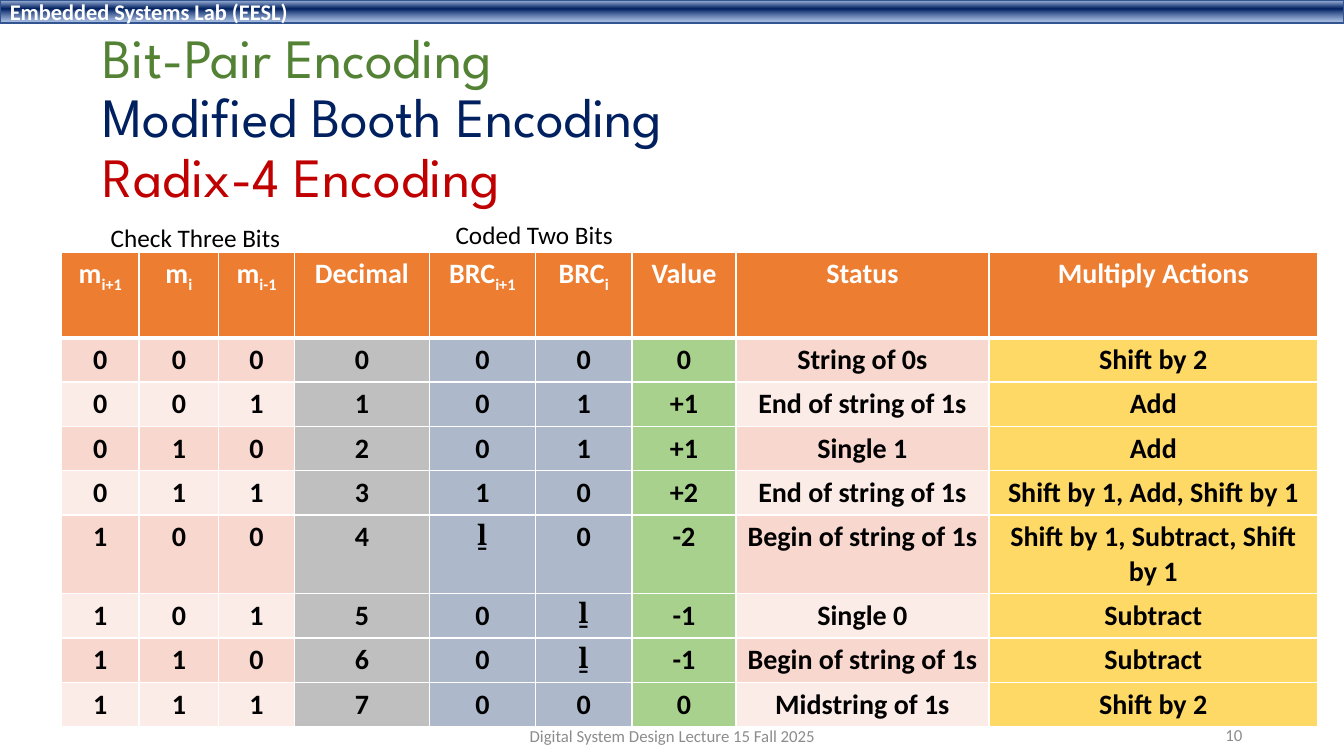
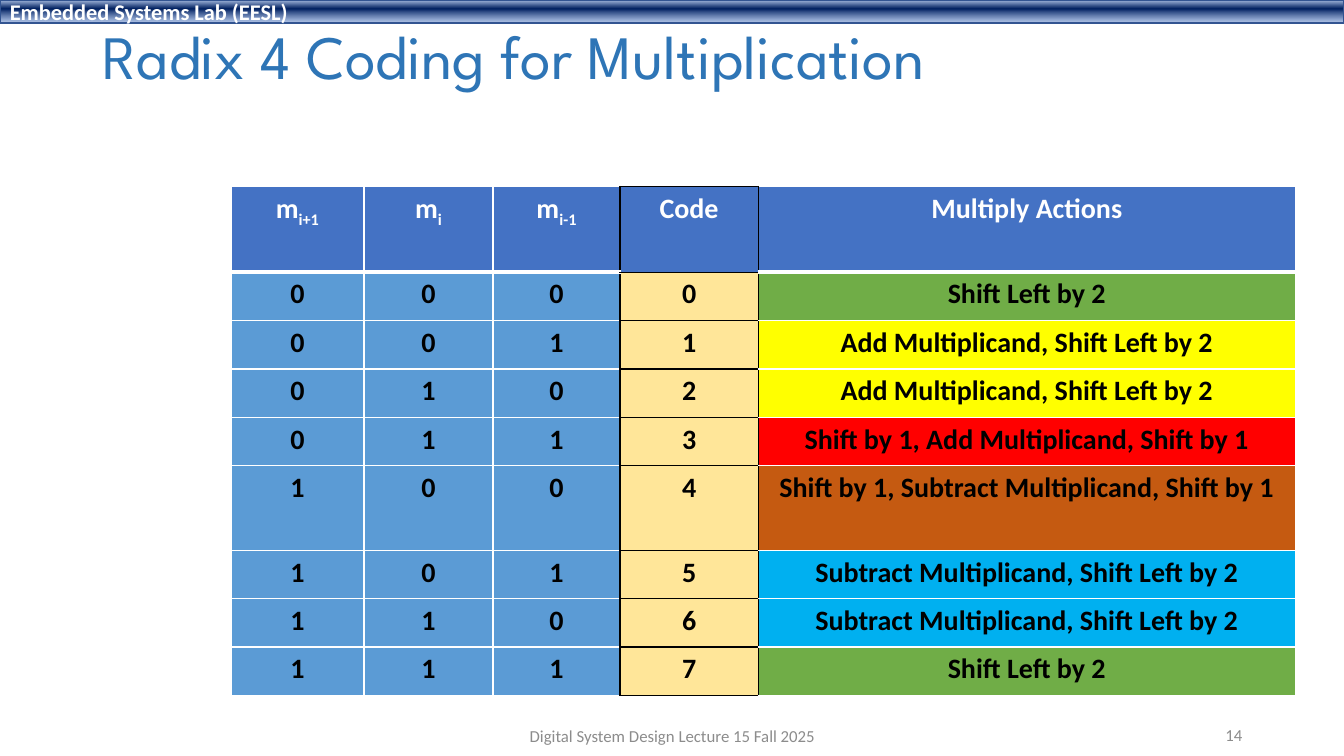
from lxml import etree
from pptx import Presentation
from pptx import util as u
from pptx.dml.color import RGBColor
from pptx.enum import shapes, text
from pptx.oxml import parse_xml
from pptx.oxml.ns import nsdecls, qn

HUES = {
    "white": "FFFFFF", "black": "000000", "grey": "8C8C8C", "edge": "325491",
    "pale": "ABC0E4", "navy": "002060", "haze": "7E9ED6",
    "moss": "548235", "blood": "C00000", "steel": "2E75B6",
    "orange": "ED7D31", "rose": "F8D7CE", "blush": "FCECE8", "silver": "BFBFBF",
    "slate": "ADB9CA", "mint": "A9D18E", "gold": "FFD966",
    "royal": "4472C4", "sky": "5B9BD5", "cream": "FFE699", "green": "70AD47",
    "yellow": "FFFF00", "red": "FF0000", "rust": "C55A11", "cyan": "00B0F0",
}
LEFT, MID, RIGHT = text.PP_ALIGN.LEFT, text.PP_ALIGN.CENTER, text.PP_ALIGN.RIGHT
BITS = [list(format(n, "03b")) for n in range(8)]
HEADS = ["m_i+1", "m_i", "m_i-1"]


class Deck:
    body, head, sign = "Calibri", "League Spartan", "Cambria"

    def __init__(self):
        self.file = Presentation()
        self.file.slide_width = u.Inches(13.33)
        self.file.slide_height = u.Inches(7.5)
        self.slide = None

    def start(self, page):
        self.slide = self.file.slides.add_slide(self.file.slide_layouts[6])
        self.band("Embedded Systems Lab (EESL)")
        self.label("Digital System Design Lecture 15 Fall 2025",
                   (4.42, 7.1, 4.5, 0.4), 12, ["grey"], MID, True)
        self.label(str(page), (9.42, 7.09, 3, 0.4), 12, ["grey"], RIGHT, True)

    def font(self, run, size, hue, bold=False, face=None):
        run.font.name = face or self.body
        run.font.size = u.Pt(size)
        run.font.bold = bold
        run.font.color.rgb = RGBColor.from_string(HUES[hue])

    def band(self, words):
        bar = self.slide.shapes.add_shape(
            shapes.MSO_SHAPE.RECTANGLE, 0, 0, self.file.slide_width, u.Inches(0.23))
        bar.shadow.inherit = False
        bar.fill.gradient()
        bar.fill.gradient_angle = 270
        stops = bar.element.spPr.find(qn("a:gradFill")).find(qn("a:gsLst"))
        for stop in list(stops):
            stops.remove(stop)
        for place, hue, alpha in ((2, "pale", 100), (38, "navy", 100), (93, "haze", 64)):
            stop = etree.SubElement(stops, qn("a:gs"), pos=str(place * 1000))
            tint = etree.SubElement(stop, qn("a:srgbClr"), val=HUES[hue])
            etree.SubElement(tint, qn("a:alpha"), val=str(alpha * 1000))
        bar.line.color.rgb = RGBColor.from_string(HUES["edge"])
        bar.line.width = u.Pt(1)
        frame = bar.text_frame
        frame.text = words
        frame.vertical_anchor = text.MSO_ANCHOR.MIDDLE
        frame.paragraphs[0].alignment = LEFT
        self.font(frame.paragraphs[0].runs[0], 16, "white", True)

    def label(self, words, at, size, hues, align=LEFT, wrap=False, face=None):
        frame = self.slide.shapes.add_textbox(*map(u.Inches, at)).text_frame
        frame.word_wrap = wrap
        if wrap:
            frame.vertical_anchor = text.MSO_ANCHOR.MIDDLE
        frame.text = words
        para = frame.paragraphs[0]
        para.alignment = align
        for run, hue in zip(para.runs, hues):
            self.font(run, size, hue, face=face)
        return para

    def title(self, words, top, height, size, hues):
        para = self.label(words, (0.92, top, 11.5, height), size, hues,
                          wrap=True, face=self.head)
        para.line_spacing = 0.9

    def edge(self, cell, sides):
        props = cell._tc.get_or_add_tcPr()
        for spot, (side, (hue, width)) in enumerate(sides.items()):
            props.insert(spot, parse_xml(
                f'<a:ln{side} {nsdecls("a")} w="{u.Pt(width)}"><a:solidFill>'
                f'<a:srgbClr val="{HUES[hue]}"/></a:solidFill></a:ln{side}>'))

    def cell(self, cell, words, fill, hue):
        cell.fill.solid()
        cell.fill.fore_color.rgb = RGBColor.from_string(HUES[fill])
        main, _, sub = words.partition("_")
        cell.text_frame.text = main
        para = cell.text_frame.paragraphs[0]
        para.alignment = MID
        if sub:
            low = para.add_run()
            low.text = sub
            low._r.get_or_add_rPr().set("baseline", "-25000")
        for run in para.runs:
            self.font(run, 20, hue, True, self.sign if main == "ḻ" else None)

    def table(self, at, wides, highs, rows, fills, dark=None):
        spots = map(u.Inches, (*at, sum(wides), sum(highs)))
        grid = self.slide.shapes.add_table(len(rows), len(wides), *spots).table
        for col, wide in zip(grid.columns, wides):
            col.width = u.Inches(wide)
        for row, high in zip(grid.rows, highs):
            row.height = u.Inches(high)
        for r, row in enumerate(rows):
            for c, words in enumerate(row):
                cell = grid.cell(r, c)
                self.cell(cell, words, fills[r][c], "black" if r else "white")
                sides = {"L": ("white", 1), "R": ("white", 1),
                         "T": ("white", 3 if r == 1 else 1),
                         "B": ("white", 1 if r else 3)}
                if dark is not None:
                    if c == dark:
                        sides = dict.fromkeys(sides, ("black", 1))
                    elif c == dark - 1:
                        sides["R"] = ("black", 1)
                    elif c == dark + 1:
                        sides["L"] = ("black", 1)
                self.edge(cell, sides)


def booth(deck):
    deck.start(10)
    deck.title("Bit-Pair Encoding\vModified Booth Encoding\vRadix-4 Encoding",
               0.28, 1.82, 39.6, ["moss", "navy", "blood"])
    codes = [
        ("0", "0", "0", "String of 0s", "Shift by 2"),
        ("0", "1", "+1", "End of string of 1s", "Add"),
        ("0", "1", "+1", "Single 1", "Add"),
        ("1", "0", "+2", "End of string of 1s", "Shift by 1, Add, Shift by 1"),
        ("ḻ", "0", "-2", "Begin of string of 1s", "Shift by 1, Subtract, Shift by 1"),
        ("0", "ḻ", "-1", "Single 0", "Subtract"),
        ("0", "ḻ", "-1", "Begin of string of 1s", "Subtract"),
        ("0", "0", "0", "Midstring of 1s", "Shift by 2"),
    ]
    rows = [HEADS + ["Decimal", "BRC_i+1", "BRC_i", "Value", "Status", "Multiply Actions"]]
    fills = [["orange"] * 9]
    for n, code in enumerate(codes):
        rows.append([*BITS[n], str(n), *code])
        tone = "blush" if n % 2 else "rose"
        fills.append([tone] * 3 + ["silver", "slate", "slate", "mint", tone, "gold"])
    deck.table((0.61, 2.5), [0.77, 0.79, 0.75, 1.34, 1.05, 0.96, 1.03, 2.51, 3.26],
               [0.85] + [0.44] * 4 + [0.78] + [0.44] * 3, rows, fills)
    deck.label("Check Three Bits", (1, 2.16, 1.9, 0.4), 18, ["black"])
    deck.label("Coded Two Bits", (4.42, 2.13, 1.78, 0.4), 18, ["black"])


def radix(deck):
    deck.start(14)
    deck.title("Radix 4 Coding for Multiplication", 0.15, 0.88, 44, ["steel"])
    shift = ("Shift Left by 2", "green")
    add = ("Add Multiplicand, Shift Left by 2", "yellow")
    less = ("Subtract Multiplicand, Shift Left by 2", "cyan")
    acts = [shift, add, add,
            ("Shift by 1, Add Multiplicand, Shift by 1", "red"),
            ("Shift by 1, Subtract Multiplicand, Shift by 1", "rust"),
            less, less, shift]
    rows = [HEADS + ["Code", "Multiply Actions"]]
    fills = [["royal"] * 5]
    for n, (act, hue) in enumerate(acts):
        rows.append([*BITS[n], str(n), act])
        fills.append(["sky"] * 3 + ["cream", hue])
    deck.table((2.29, 1.85), [1.32, 1.28, 1.26, 1.37, 5.33],
               [0.85] + [0.48] * 4 + [0.84] + [0.48] * 3, rows, fills, dark=3)


def main():
    deck = Deck()
    booth(deck)
    radix(deck)
    deck.file.save("out.pptx")


if __name__ == "__main__":
    main()
